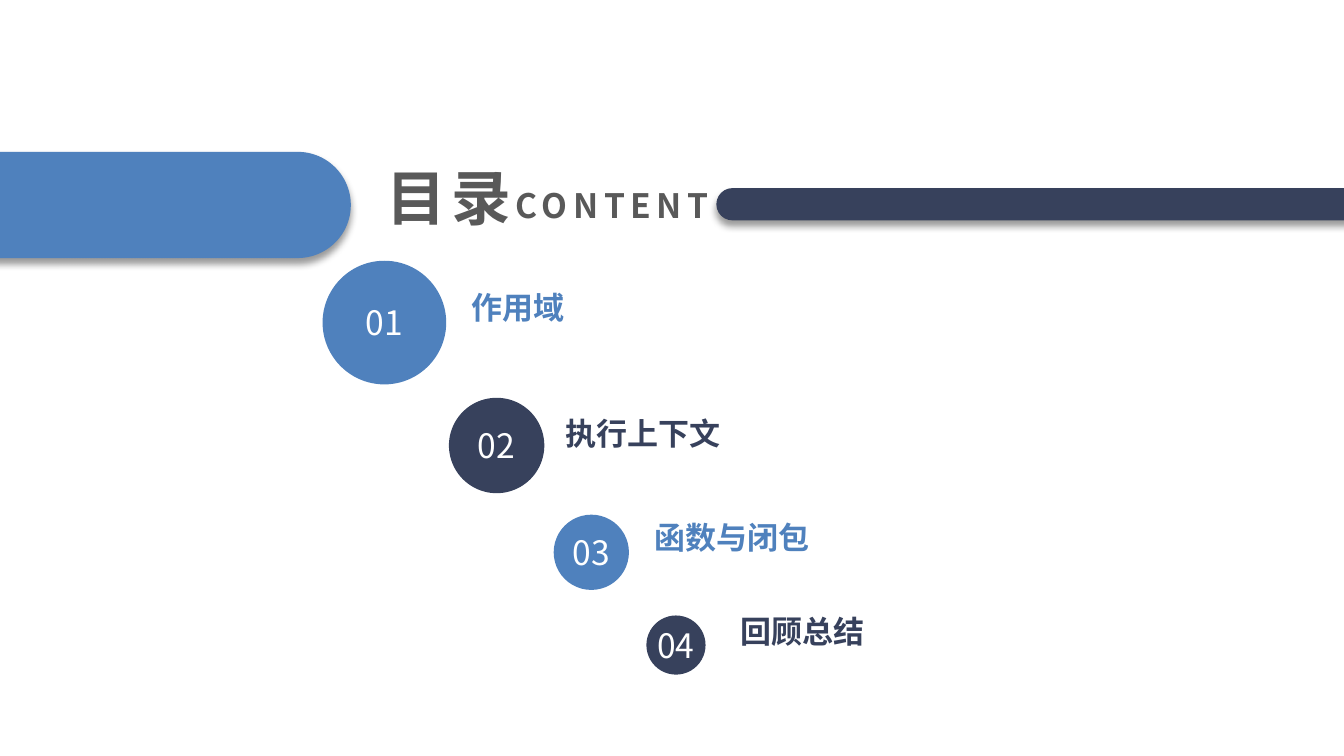
"""Build the contents slide with two banner bars and four numbered topics."""
from lxml.etree import SubElement
from pptx import Presentation
from pptx.dml.color import RGBColor
from pptx.enum.shapes import MSO_SHAPE
from pptx.enum.text import MSO_ANCHOR, PP_ALIGN
from pptx.oxml import parse_xml
from pptx.oxml.ns import nsdecls, qn
from pptx.util import Inches, Pt

COLORS = {"blue": "4F81BD", "navy": "37415C", "gray": "595959", "white": "FFFFFF"}
FONT = "Noto Sans CJK SC"
SHADOW = (
    f'<a:effectLst {nsdecls("a")}><a:outerShdw blurRad="50800" dist="38100" dir="5400000" '
    'algn="t" rotWithShape="0"><a:srgbClr val="000000"><a:alpha val="40000"/></a:srgbClr>'
    "</a:outerShdw></a:effectLst>"
)


def add_shape(kind, x, y, w, h, color=None):
    sp = s.shapes.add_shape(kind, Inches(x), Inches(y), Inches(w), Inches(h))
    sp.shadow.inherit = False
    sp.line.fill.background()
    if color:
        sp.fill.solid()
        sp.fill.fore_color.rgb = RGBColor.from_string(COLORS[color])
    else:
        sp.fill.background()
    return sp


def set_text(sp, text, size, color, bold=False, align=PP_ALIGN.CENTER, wrap=False, spacing=0):
    tf = sp.text_frame
    tf.word_wrap = wrap
    tf.vertical_anchor = MSO_ANCHOR.MIDDLE
    tf.margin_left = tf.margin_top = tf.margin_right = tf.margin_bottom = 0
    p = tf.paragraphs[0]
    p.text = text
    p.alignment = align
    p.font.size = Pt(size)
    p.font.bold = bold
    p.font.color.rgb = RGBColor.from_string(COLORS[color])
    p.font.name = FONT
    rPr = p.font._rPr
    SubElement(rPr, qn("a:ea")).set("typeface", FONT)
    if spacing:
        rPr.set("spc", str(spacing * 100))


prs = Presentation()
prs.slide_width = Inches(10)
prs.slide_height = Inches(10) * 9 // 16
s = prs.slides.add_slide(prs.slide_layouts[6])

topics = [
    ("作用域", "blue", 2.4, 1.94, 0.92, 3.51, 2.17),
    ("执行上下文", "navy", 3.34, 2.96, 0.71, 4.21, 3.11),
    ("函数与闭包", "blue", 4.12, 3.83, 0.56, 4.87, 3.88),
    ("回顾总结", "navy", 4.81, 4.58, 0.44, 5.51, 4.58),
]
for number, (topic, color, x, y, size, text_x, text_y) in enumerate(topics, 1):
    sp = add_shape(MSO_SHAPE.OVAL, x, y, size, size, color)
    set_text(sp, f"{number:02}", 18, "white")
    tb = s.shapes.add_textbox(Inches(text_x), Inches(text_y), Inches(1.18), Inches(0.23))
    set_text(tb, topic, 16.6, color, bold=True, align=PP_ALIGN.LEFT)

for x, y, w, h, color in [(-1.51, 1.13, 4.12, 0.79, "blue"), (5.33, 1.4, 4.79, 0.24, "navy")]:
    bar = add_shape(MSO_SHAPE.ROUNDED_RECTANGLE, x, y, w, h, color)
    bar.adjustments[0] = 0.5
    spPr = bar._element.spPr
    spPr.replace(spPr.find(qn("a:effectLst")), parse_xml(SHADOW))

title = add_shape(MSO_SHAPE.OVAL, 2.44, 0.92, 1.8, 1.09)
set_text(title, "目录", 32, "gray", bold=True, wrap=True, spacing=3)
subtitle = s.shapes.add_textbox(Inches(3.68), Inches(1.32), Inches(1.75), Inches(0.41))
set_text(subtitle, "CONTENT", 18, "gray", bold=True, spacing=3)

prs.save("out.pptx")
